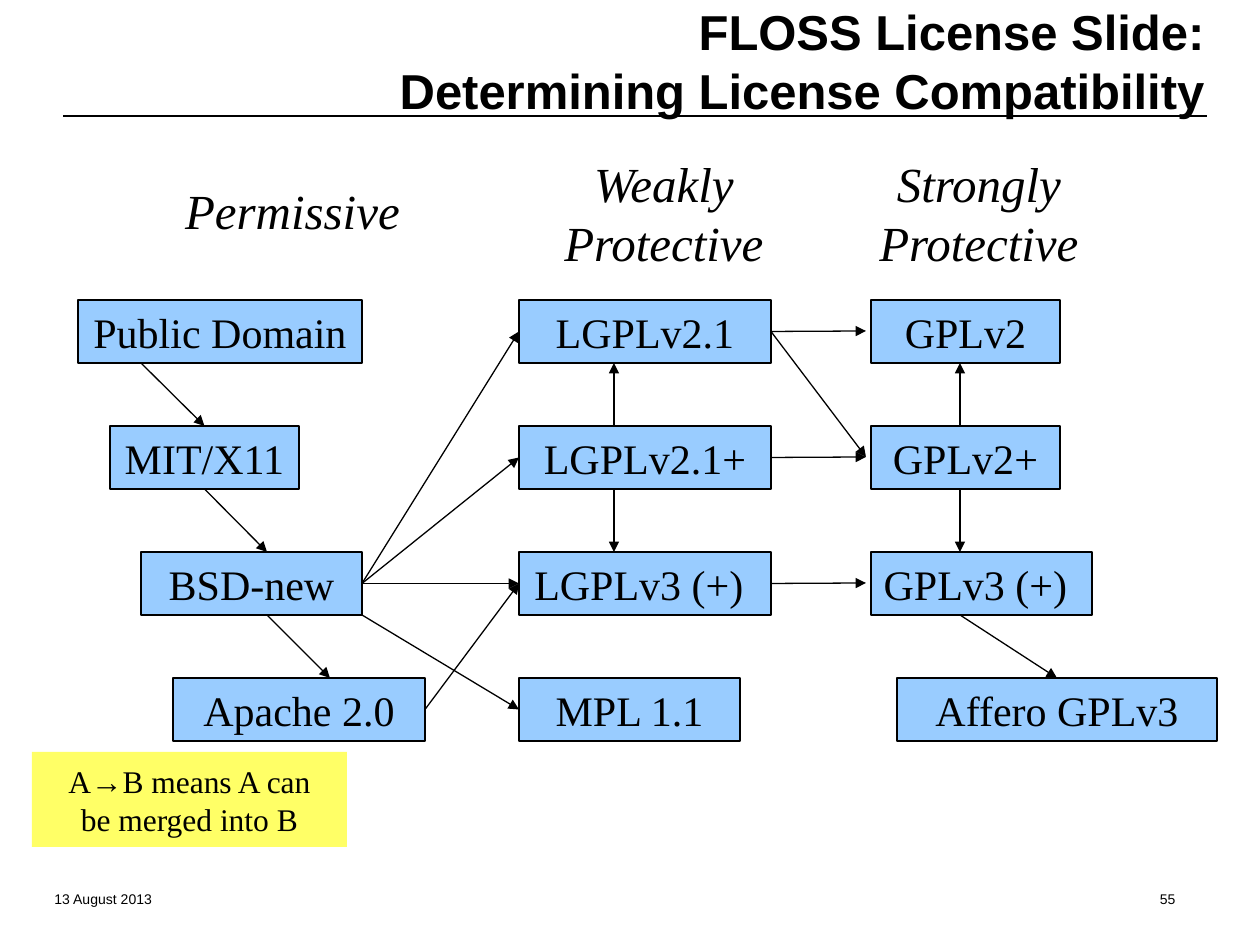
import pptx
import pptx.dml.color
import pptx.enum.shapes
import pptx.enum.text
import pptx.oxml.ns
import pptx.util
import lxml.etree
from dataclasses import dataclass
from pptx.oxml.ns import qn

# Content
TITLE = "FLOSS License Slide:\vDetermining License Compatibility"
DATE, NUMBER = "13 August 2013", "55"
LEGEND = "A→B means A can\vbe merged into B"

# Headings: lines, left, top, width, height
HEADINGS = [
    (["Permissive"], 173, 174, 239, 67),
    (["Weakly", "Protective"], 551, 147, 226, 121),
    (["Strongly", "Protective"], 866, 147, 226, 121),
]

# Licenses: name, row, left, width, extra right inset
LICENSES = [
    ("Public Domain", 0, 78, 284, 0),
    ("MIT/X11", 1, 110, 189, 0),
    ("BSD-new", 2, 141, 221, 0),
    ("Apache 2.0", 3, 173, 252, 0),
    ("LGPLv2.1", 0, 519, 252, 0),
    ("LGPLv2.1+", 1, 519, 252, 0),
    ("LGPLv3 (+)", 2, 519, 252, 12),
    ("MPL 1.1", 3, 519, 221, 0),
    ("GPLv2", 0, 871, 189, 0),
    ("GPLv2+", 1, 871, 189, 0),
    ("GPLv3 (+)", 2, 871, 221, 12),
    ("Affero GPLv3", 3, 897, 320, 0),
]
ROW_TOP, ROW_STEP, BOX_H = 300, 126, 63

# Arrows: each end is (license, side) or a free point (x, y)
TOP, LEFT, BOTTOM, RIGHT = range(4)
ARROWS = [
    ((141, 363), ("MIT/X11", TOP)),
    (("MIT/X11", BOTTOM), (267, 552)),
    ((267, 615), (330, 678)),
    (("BSD-new", RIGHT), ("LGPLv2.1", LEFT)),
    (("BSD-new", RIGHT), ("LGPLv2.1+", LEFT)),
    (("BSD-new", RIGHT), ("LGPLv3 (+)", LEFT)),
    ((614, 426), (614, 363)),
    ((614, 489), (614, 552)),
    (("LGPLv2.1", RIGHT), (866, 331)),
    (("LGPLv2.1+", RIGHT), (866, 457)),
    (("LGPLv3 (+)", RIGHT), (866, 583)),
    (("LGPLv2.1", RIGHT), (866, 457)),
    (("Apache 2.0", RIGHT), ("LGPLv3 (+)", LEFT)),
    ((362, 615), ("MPL 1.1", LEFT)),
    ((960, 426), (960, 363)),
    ((960, 489), (960, 552)),
    ((960, 615), ("Affero GPLv3", TOP)),
]


@dataclass(frozen=True)
class Theme:
    sans: str = "Arial"
    serif: str = "Times New Roman"
    ink: str = "000000"
    box: str = "99CCFF"
    note: str = "FFFF66"
    title: int = 28
    heading: int = 28
    license: int = 24
    legend: int = 18
    footer: int = 8
    line: float = 0.75


THEME = Theme()
ALIGN = pptx.enum.text.PP_ALIGN
ANCHOR = pptx.enum.text.MSO_ANCHOR


def px(n):
    return pptx.util.Emu(round(n * 914400 / 126))


def rgb(value):
    return pptx.dml.color.RGBColor.from_string(value)


def write(tf, lines, font, size, align, anchor, bold=False, italic=False):
    tf.auto_size = pptx.enum.text.MSO_AUTO_SIZE.NONE
    tf.vertical_anchor = anchor
    for i, line in enumerate(lines):
        p = tf.add_paragraph() if i else tf.paragraphs[0]
        p.alignment = align
        for j, part in enumerate(line.split("\v")):
            if j:
                p.add_line_break()
            r = p.add_run()
            r.text = part
            r.font.name, r.font.size = font, pptx.util.Pt(size)
            r.font.bold, r.font.italic = bold, italic
            r.font.color.rgb = rgb(THEME.ink)


def add_text(slide, frame, wrap, *style, **flags):
    tf = slide.shapes.add_textbox(*map(px, frame)).text_frame
    tf.word_wrap = wrap
    write(tf, *style, **flags)


def add_box(slide, frame, text, size, fill, outlined=True):
    kind = pptx.enum.shapes.MSO_SHAPE.ROUNDED_RECTANGLE
    sp = slide.shapes.add_shape(kind, *map(px, frame))
    sp.adjustments[0] = 0
    sp.shadow.inherit = False
    sp.fill.solid()
    sp.fill.fore_color.rgb = rgb(fill)
    if outlined:
        sp.line.color.rgb = rgb(THEME.ink)
        sp.line.width = pptx.util.Pt(THEME.line)
    else:
        sp.line.fill.background()
    sp.text_frame.word_wrap = False
    write(sp.text_frame, [text], THEME.serif, size, ALIGN.CENTER, ANCHOR.MIDDLE)
    return sp


def add_line(slide, start, end, arrow=False):
    kind = pptx.enum.shapes.MSO_CONNECTOR.STRAIGHT
    line = slide.shapes.add_connector(kind, *map(px, start + end))
    line.line.color.rgb = rgb(THEME.ink)
    line.line.width = pptx.util.Pt(THEME.line)
    props = line._element.find(qn("p:spPr"))
    if arrow:
        lxml.etree.SubElement(props.find(qn("a:ln")), qn("a:tailEnd"), type="triangle")
    lxml.etree.SubElement(props, qn("a:effectLst"))
    return line


def main():
    prs = pptx.Presentation()
    prs.slide_width, prs.slide_height = px(1260), px(945)
    slide = prs.slides.add_slide(prs.slide_layouts[5])

    # Title and rule
    title = slide.shapes.title
    title.left, title.top, title.width, title.height = map(px, (357, -5, 860, 131))
    write(title.text_frame, [TITLE], THEME.sans, THEME.title, ALIGN.RIGHT,
          ANCHOR.BOTTOM, bold=True)
    add_line(slide, (63, 116), (1207, 116))

    # Footer
    for text, left, align in ((DATE, 42, ALIGN.LEFT), (NUMBER, 926, ALIGN.RIGHT)):
        add_text(slide, (left, 851, 262, 63), True, [text], THEME.sans,
                 THEME.footer, align, ANCHOR.BOTTOM)

    # Column headings
    for lines, *frame in HEADINGS:
        add_text(slide, frame, False, lines, THEME.serif, THEME.heading,
                 ALIGN.CENTER, ANCHOR.TOP, italic=True)

    # License boxes
    boxes = {}
    for name, row, left, width, inset in LICENSES:
        frame = (left, ROW_TOP + row * ROW_STEP, width, BOX_H)
        sp = add_box(slide, frame, name, THEME.license, THEME.box)
        sp.text_frame.margin_right += px(inset)
        boxes[name] = sp

    # Compatibility arrows
    for start, end in ARROWS:
        glued = [e[0] in boxes for e in (start, end)]
        line = add_line(slide, (0, 0) if glued[0] else start,
                        (0, 0) if glued[1] else end, arrow=True)
        if glued[0]:
            line.begin_connect(boxes[start[0]], start[1])
        if glued[1]:
            line.end_connect(boxes[end[0]], end[1])

    # Legend
    add_box(slide, (32, 752, 315, 95), LEGEND, THEME.legend, THEME.note, outlined=False)

    prs.save("out.pptx")


if __name__ == "__main__":
    main()
